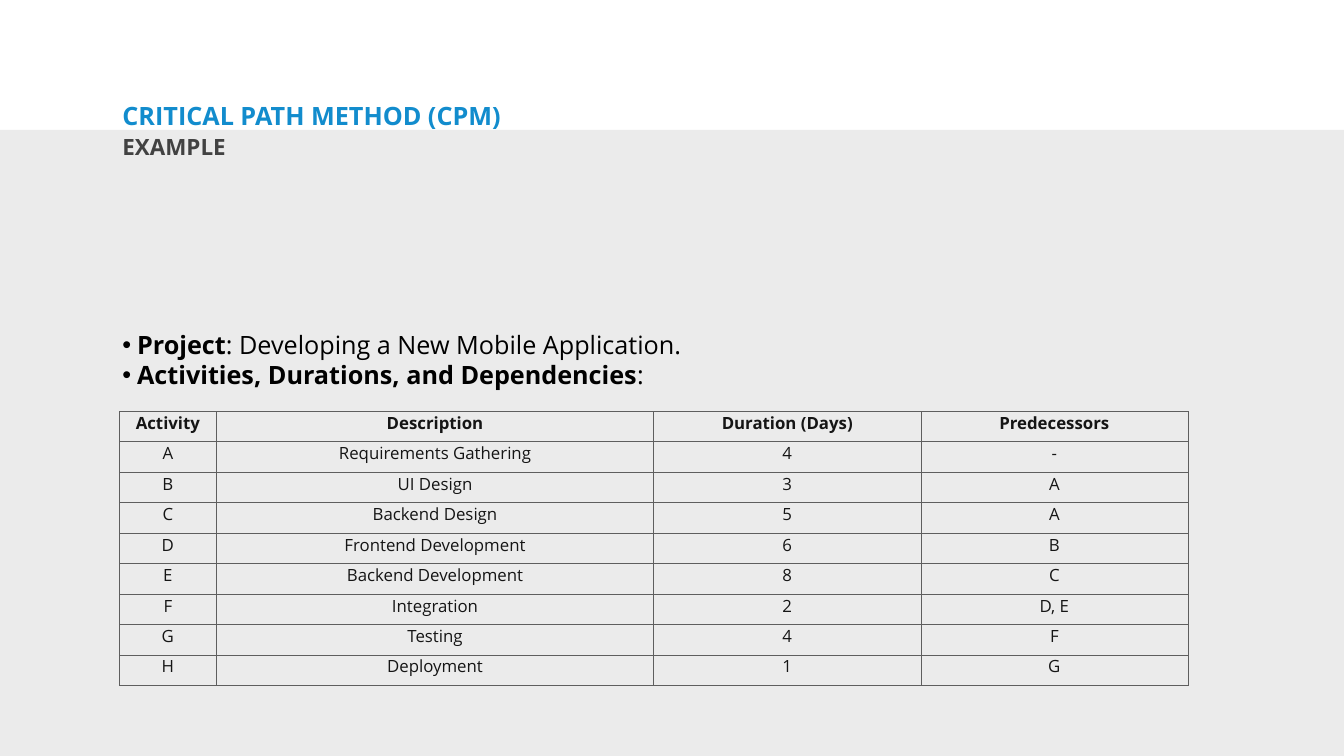
from dataclasses import dataclass

from lxml import etree
from pptx import Presentation
from pptx.dml.color import RGBColor
from pptx.enum import shapes, text
from pptx.oxml import ns
from pptx.util import Cm, Pt


@dataclass(frozen=True)
class Theme:
    font: str = "Open Sans"
    band: str = "EBEBEB"
    title: str = "128CCD"
    subtitle: str = "424242"
    body: str = "000000"
    cell: str = "151515"
    border: str = "5E5E5E"
    large: int = 36
    medium: int = 32
    small: int = 24


SLIDE_WIDTH, SLIDE_HEIGHT = 67.74, 38.1
BAND_TOP = 6.55
LEFT, CONTENT_WIDTH = 6.02, 53.85
INSET = 0.15
BULLET_INDENT = 0.74
COLUMN_WIDTHS = [4.88, 22.05, 13.46, 13.46]
ROW_HEIGHT = 1.535

BULLETS = [
    ("Project", ": Developing a New Mobile Application."),
    ("Activities, Durations, and Dependencies", ":"),
]
ACTIVITIES = [
    ("Activity", "Description", "Duration (Days)", "Predecessors"),
    ("A", "Requirements Gathering", "4", "-"),
    ("B", "UI Design", "3", "A"),
    ("C", "Backend Design", "5", "A"),
    ("D", "Frontend Development", "6", "B"),
    ("E", "Backend Development", "8", "C"),
    ("F", "Integration", "2", "D, E"),
    ("G", "Testing", "4", "F"),
    ("H", "Deployment", "1", "G"),
]


def add_run(paragraph, content, *, font, size, color, bold=False):
    run = paragraph.add_run()
    run.text = content
    run.font.name = font
    run.font.size = Pt(size)
    run.font.bold = bold
    run.font.color.rgb = RGBColor.from_string(color)


def add_bullet(paragraph, indent):
    properties = paragraph._p.get_or_add_pPr()
    properties.set("marL", str(Cm(indent)))
    properties.set("indent", str(-Cm(indent)))
    etree.SubElement(properties, ns.qn("a:buFont"), typeface="Arial")
    etree.SubElement(properties, ns.qn("a:buChar"), char="•")


def draw_borders(cell, color, width):
    properties = cell._tc.get_or_add_tcPr()
    for index, side in enumerate(("lnL", "lnR", "lnT", "lnB")):
        line = etree.Element(ns.qn(f"a:{side}"), w=str(Pt(width)))
        fill = etree.SubElement(line, ns.qn("a:solidFill"))
        etree.SubElement(fill, ns.qn("a:srgbClr"), val=color)
        properties.insert(index, line)


class SlideBuilder:
    def __init__(self, slide, theme):
        self.slide = slide
        self.theme = theme

    def rectangle(self, left, top, width, height, color):
        shape = self.slide.shapes.add_shape(
            shapes.MSO_SHAPE.RECTANGLE, Cm(left), Cm(top), Cm(width), Cm(height))
        shape.shadow.inherit = False
        shape.fill.solid()
        shape.fill.fore_color.rgb = RGBColor.from_string(color)
        shape.line.fill.background()

    def text_frame(self, left, top, width, height):
        box = self.slide.shapes.add_textbox(Cm(left), Cm(top), Cm(width), Cm(height))
        frame = box.text_frame
        frame.word_wrap = True
        frame.margin_left = frame.margin_right = Cm(INSET)
        frame.margin_top = frame.margin_bottom = Cm(INSET)
        return frame

    def heading(self, content, left, top, width, height, *, size, color, spacing):
        paragraph = self.text_frame(left, top, width, height).paragraphs[0]
        paragraph.line_spacing = spacing
        add_run(paragraph, content, font=self.theme.font, size=size, color=color, bold=True)

    def bullets(self, items, left, top, width, height):
        """Each item is a bold lead followed by plain text."""
        frame = self.text_frame(left, top, width, height)
        style = dict(font=self.theme.font, size=self.theme.large, color=self.theme.body)
        for index, (lead, rest) in enumerate(items):
            paragraph = frame.add_paragraph() if index else frame.paragraphs[0]
            paragraph.alignment = text.PP_ALIGN.JUSTIFY
            add_bullet(paragraph, BULLET_INDENT)
            add_run(paragraph, lead, bold=True, **style)
            add_run(paragraph, rest, **style)

    def table(self, rows, left, top, column_widths, row_height):
        table = self.slide.shapes.add_table(
            len(rows), len(column_widths), Cm(left), Cm(top),
            Cm(sum(column_widths)), Cm(row_height * len(rows))).table
        table.first_row = table.horz_banding = False
        for column, width in zip(table.columns, column_widths):
            column.width = Cm(width)
        for row_index, values in enumerate(rows):
            table.rows[row_index].height = Cm(row_height)
            for column_index, value in enumerate(values):
                self.table_cell(table.cell(row_index, column_index), value, row_index == 0)

    def table_cell(self, cell, value, bold):
        cell.margin_left = cell.margin_right = Cm(0.18)
        cell.margin_top = cell.margin_bottom = 0
        cell.fill.background()
        draw_borders(cell, self.theme.border, 1)
        paragraph = cell.text_frame.paragraphs[0]
        paragraph.alignment = text.PP_ALIGN.CENTER
        add_run(paragraph, value, font=self.theme.font, size=self.theme.small,
                color=self.theme.cell, bold=bold)


def main():
    presentation = Presentation()
    presentation.slide_width = Cm(SLIDE_WIDTH)
    presentation.slide_height = Cm(SLIDE_HEIGHT)
    theme = Theme()
    builder = SlideBuilder(presentation.slides.add_slide(presentation.slide_layouts[6]), theme)

    builder.rectangle(0, BAND_TOP, SLIDE_WIDTH, SLIDE_HEIGHT - BAND_TOP, theme.band)
    builder.heading("CRITICAL PATH METHOD (CPM)", LEFT, 5.21, 40.87, 1.42,
                    size=theme.large, color=theme.title, spacing=0.8)
    builder.heading("EXAMPLE", LEFT, 6.73, CONTENT_WIDTH, 2.34,
                    size=theme.medium, color=theme.subtitle, spacing=0.9)
    builder.bullets(BULLETS, LEFT, 16.45, CONTENT_WIDTH, 3.9)
    builder.table(ACTIVITIES, LEFT, 20.73, COLUMN_WIDTHS, ROW_HEIGHT)

    presentation.save("out.pptx")


if __name__ == "__main__":
    main()
